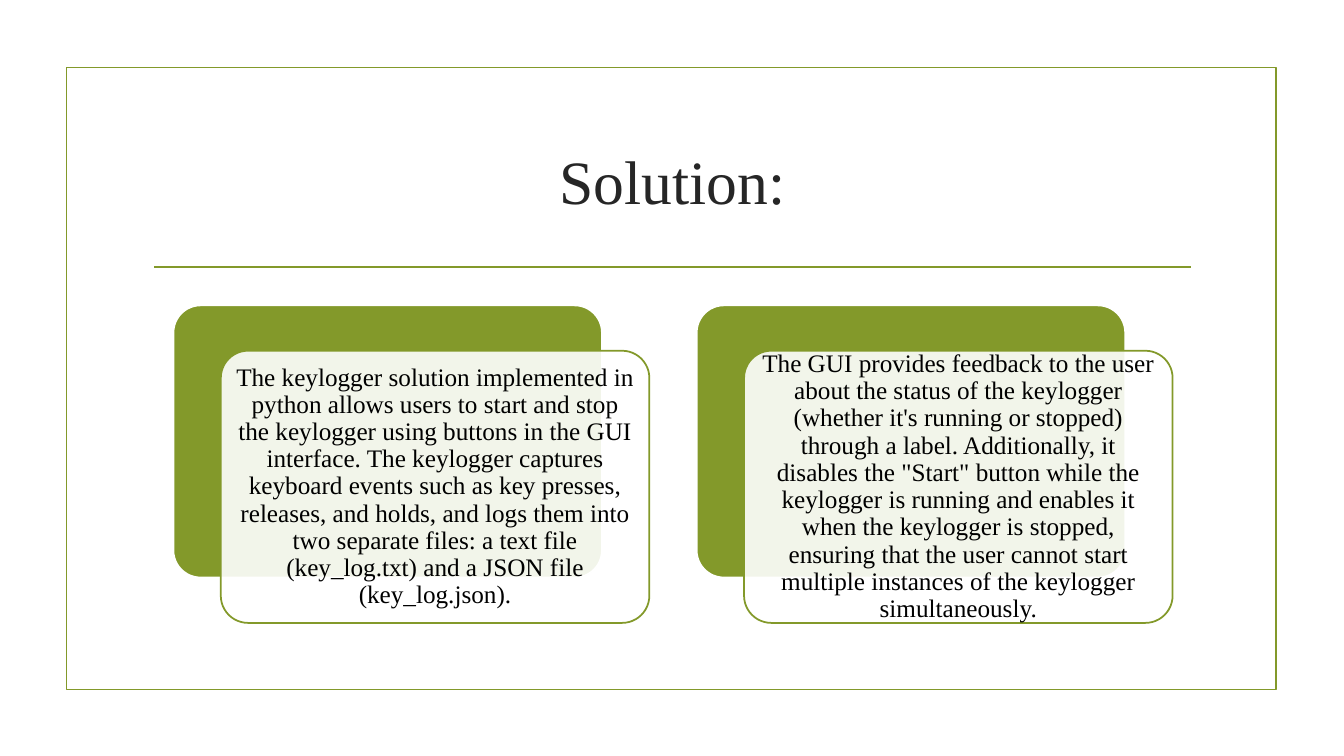
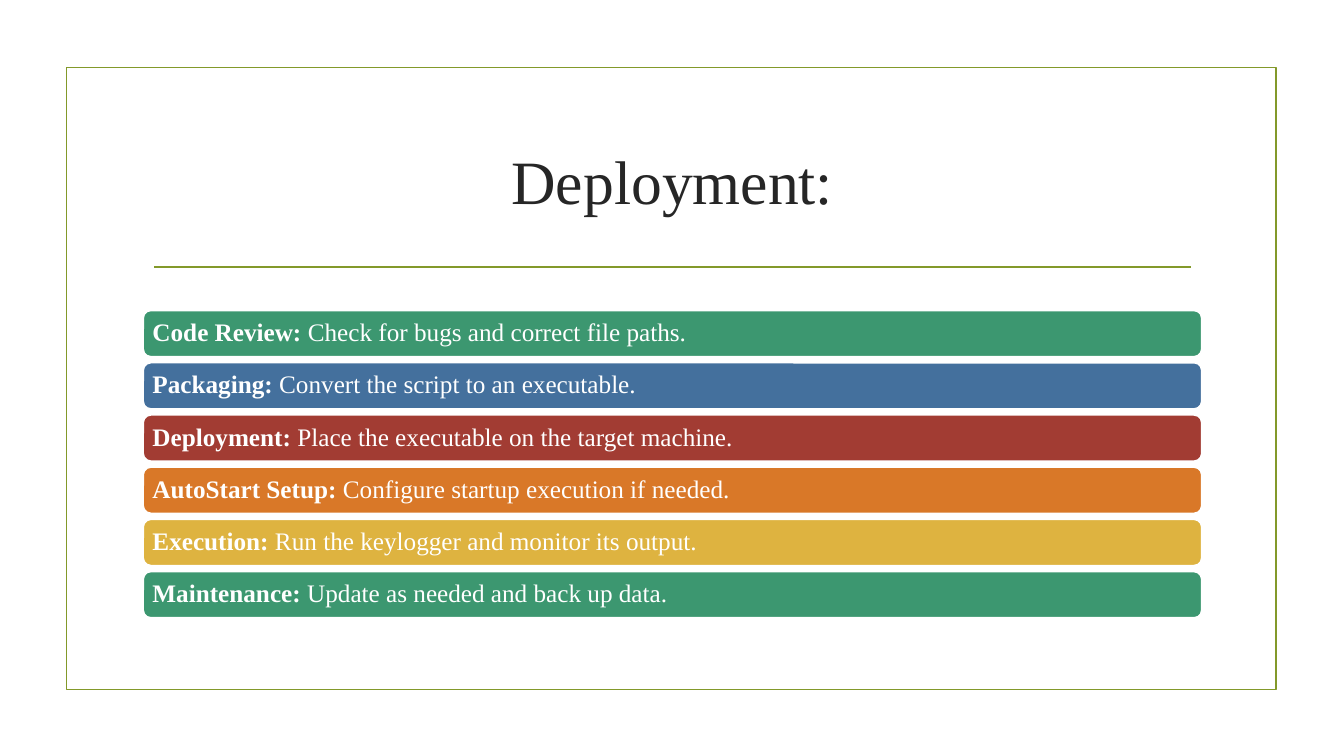
from dataclasses import dataclass
from typing import Any

from lxml import etree
from pptx import Presentation
from pptx.dml.color import RGBColor
from pptx.enum.shapes import MSO_CONNECTOR, MSO_SHAPE
from pptx.enum.text import MSO_ANCHOR, MSO_AUTO_SIZE, PP_ALIGN
from pptx.oxml.ns import qn
from pptx.util import Inches, Pt

CARDS = [
    "The keylogger solution implemented in python allows users to start and stop "
    "the keylogger using buttons in the GUI interface. The keylogger captures "
    "keyboard events such as key presses, releases, and holds, and logs them into "
    "two separate files: a text file (key_log.txt) and a JSON file (key_log.json).",
    "The GUI provides feedback to the user about the status of the keylogger "
    "(whether it's running or stopped) through a label. Additionally, it disables "
    'the "Start" button while the keylogger is running and enables it when the '
    "keylogger is stopped, ensuring that the user cannot start multiple instances "
    "of the keylogger simultaneously.",
]

STEPS = [
    ("Code Review:", " Check for bugs and correct file paths."),
    ("Packaging:", " Convert the script to an executable."),
    ("Deployment:", " Place the executable on the target machine."),
    ("AutoStart Setup:", " Configure startup execution if needed."),
    ("Execution:", " Run the keylogger and monitor its output."),
    ("Maintenance:", " Update as needed and back up data."),
]


def rgb(value):
    return RGBColor.from_string(value)


def write_text(shape, *runs, font, size, color, align=PP_ALIGN.LEFT,
               line_spacing=None, inset=None):
    """Fill the shape with one paragraph of (text, bold) runs."""
    frame = shape.text_frame
    frame.word_wrap = True
    frame.auto_size = MSO_AUTO_SIZE.NONE
    frame.vertical_anchor = MSO_ANCHOR.MIDDLE
    if inset is not None:
        frame.margin_left = frame.margin_right = Inches(inset)
        frame.margin_top = frame.margin_bottom = Inches(inset)
    paragraph = frame.paragraphs[0]
    paragraph.alignment = align
    paragraph.line_spacing = line_spacing
    for text, bold in runs:
        run = paragraph.add_run()
        run.text = text
        run.font.name = font
        run.font.size = Pt(size)
        run.font.bold = bold
        run.font.color.rgb = rgb(color)


@dataclass
class Deck:
    presentation: Any
    slide: Any = None
    font: str = "Times New Roman"
    green: str = "83992A"
    white: str = "FFFFFF"
    title_color: str = "262626"
    bar_colors: tuple = ("3C9770", "44709D", "A23C33", "D97828", "DEB340")
    line_width: float = 1.25
    body_size: int = 18

    def add_slide(self, title):
        """Start a slide with the shared title, frame and rule."""
        layout = self.presentation.slide_layouts.get_by_name("Title Only")
        self.slide = self.presentation.slides.add_slide(layout)
        self.add_box(MSO_SHAPE.RECTANGLE, 0.66, 0.67, 12, 6.17, line=self.green)
        self.add_rule(1.53, 11.81, 2.65)
        heading = self.slide.shapes.title
        heading.left, heading.top = Inches(1.42), Inches(1.07)
        heading.width, heading.height = Inches(10.5), Inches(1.43)
        write_text(heading, (title, False), font=self.font, size=44,
                   color=self.title_color, align=PP_ALIGN.CENTER)

    def add_box(self, kind, left, top, width, height, line, fill=None,
                opacity=100, corner=None):
        shape = self.slide.shapes.add_shape(
            kind, Inches(left), Inches(top), Inches(width), Inches(height))
        shape.shadow.inherit = False
        shape.line.color.rgb = rgb(line)
        shape.line.width = Pt(self.line_width)
        if corner is not None:
            shape.adjustments[0] = corner
        if fill is None:
            shape.fill.background()
        else:
            shape.fill.solid()
            shape.fill.fore_color.rgb = rgb(fill)
        if opacity < 100:
            color = shape._element.spPr.find(qn("a:solidFill")).find(qn("a:srgbClr"))
            etree.SubElement(color, qn("a:alpha"), val=str(opacity * 1000))
        return shape

    def add_rule(self, left, right, top):
        rule = self.slide.shapes.add_connector(
            MSO_CONNECTOR.STRAIGHT, Inches(left), Inches(top), Inches(right), Inches(top))
        rule.line.color.rgb = rgb(self.green)
        rule.line.width = Pt(self.line_width)
        etree.SubElement(rule._element.spPr, qn("a:effectLst"))

    def add_body_text(self, shape, *runs, color, align=PP_ALIGN.LEFT):
        write_text(shape, *runs, font=self.font, size=self.body_size, color=color,
                   align=align, line_spacing=0.9, inset=0.07)

    def add_card(self, left, top, text):
        """Add a translucent text card over an offset green card."""
        width, height = 4.25, 2.7
        self.add_box(MSO_SHAPE.ROUNDED_RECTANGLE, left, top, width, height,
                     line=self.white, fill=self.green, corner=0.1)
        card = self.add_box(MSO_SHAPE.ROUNDED_RECTANGLE, left + 0.47, top + 0.45,
                            width, height, line=self.green, fill=self.white,
                            opacity=90, corner=0.1)
        self.add_body_text(card, (text, False), color="000000", align=PP_ALIGN.CENTER)

    def add_bar(self, top, label, detail, fill):
        bar = self.add_box(MSO_SHAPE.ROUNDED_RECTANGLE, 1.42, top, 10.5, 0.46,
                           line=self.white, fill=fill)
        self.add_body_text(bar, (label, True), (detail, False), color=self.white)


def main():
    presentation = Presentation()
    presentation.slide_width = Inches(13.33)
    presentation.slide_height = Inches(7.5)
    deck = Deck(presentation)

    deck.add_slide("Solution:")
    for index, text in enumerate(CARDS):
        deck.add_card(1.72 + index * 5.19, 3.03, text)

    deck.add_slide("Deployment:")
    first_top, last_top = 3.08, 5.67
    pitch = (last_top - first_top) / (len(STEPS) - 1)
    for index, (label, detail) in enumerate(STEPS):
        fill = deck.bar_colors[index % len(deck.bar_colors)]
        deck.add_bar(first_top + index * pitch, label, detail, fill)

    presentation.save("out.pptx")


if __name__ == "__main__":
    main()
